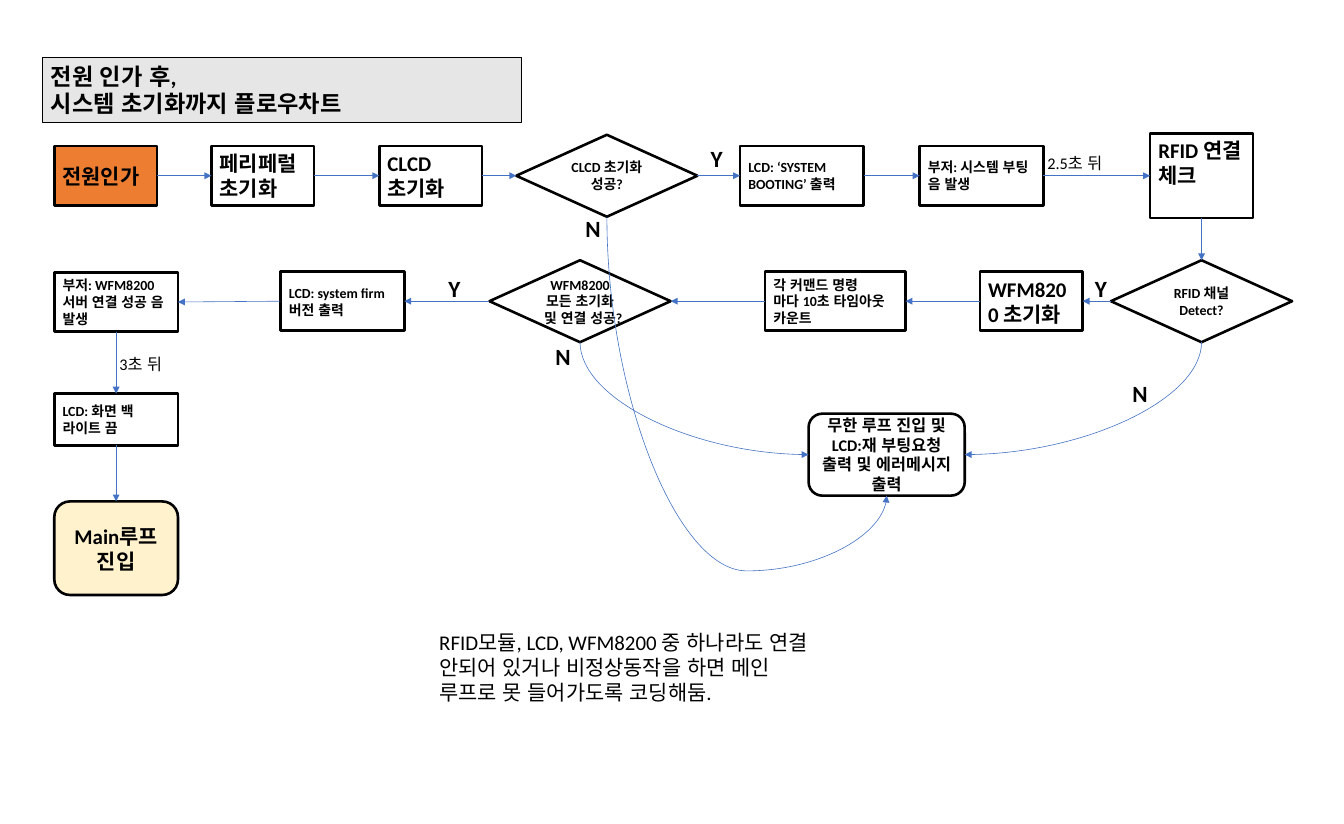
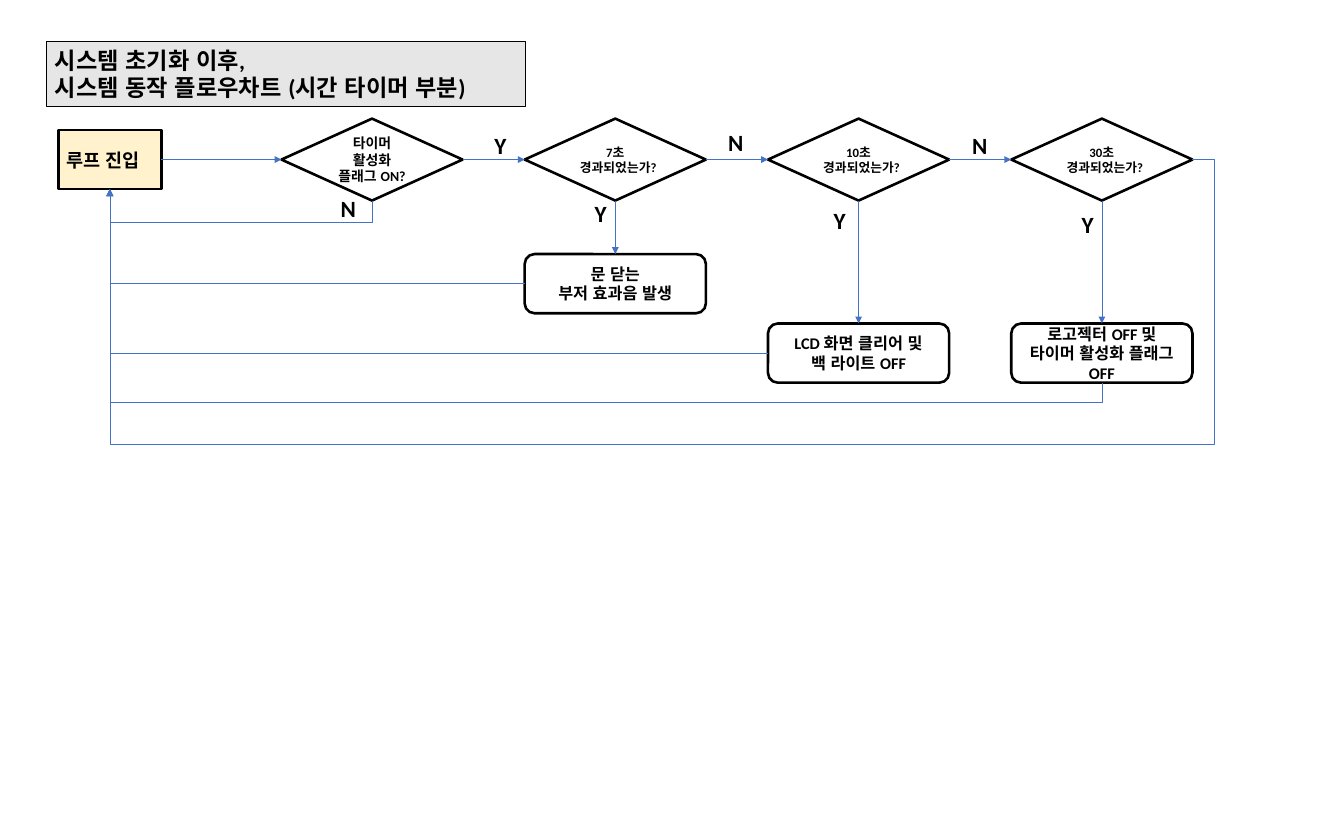
from dataclasses import dataclass
from enum import IntEnum

from lxml.etree import SubElement
from pptx import Presentation
from pptx.dml.color import RGBColor
from pptx.enum.lang import MSO_LANGUAGE_ID as Language
from pptx.enum.shapes import MSO_CONNECTOR as Connector
from pptx.enum.shapes import MSO_SHAPE as Shape
from pptx.enum.text import MSO_ANCHOR as Anchor
from pptx.enum.text import PP_ALIGN as Align
from pptx.oxml.ns import qn
from pptx.util import Pt


class Side(IntEnum):
    TOP = 0
    LEFT = 1
    BOTTOM = 2
    RIGHT = 3


@dataclass(frozen=True)
class Theme:
    font: str = "Calibri"
    ink: str = "000000"
    paper: str = "FFFFFF"
    title_fill: str = "E7E6E6"
    start_fill: str = "ED7D31"
    loop_fill: str = "FFF2CC"
    flow: str = "4472C4"
    tiny: int = 11
    small: int = 12
    body: int = 14
    entry: int = 16
    large: int = 18
    heading: int = 20
    thin: float = 0.5
    frame: float = 0.75
    thick: float = 2.25


class Flowchart:
    def __init__(self, presentation, theme):
        self.presentation = presentation
        self.theme = theme
        self.slide = None

    def new_slide(self):
        blank = self.presentation.slide_layouts[6]
        self.slide = self.presentation.slides.add_slide(blank)

    def add_text(self, shape, text, size, bold, align, anchor):
        frame = shape.text_frame
        frame.word_wrap = True
        frame.vertical_anchor = anchor
        for index, line in enumerate(text.split("\n")):
            paragraph = frame.paragraphs[0] if index == 0 else frame.add_paragraph()
            paragraph.alignment = align
            run = paragraph.add_run()
            run.text = line
            font = run.font
            font.name, font.size, font.bold = self.theme.font, Pt(size), bold
            font.color.rgb = RGBColor.from_string(self.theme.ink)
            font.language_id = Language.KOREAN

    def block(self, kind, left, top, width, height, text, size, fill=None,
              align=Align.LEFT, anchor=Anchor.MIDDLE, weight=None):
        shape = self.slide.shapes.add_shape(kind, Pt(left), Pt(top), Pt(width), Pt(height))
        shape.shadow.inherit = False
        if fill:
            shape.fill.solid()
            shape.fill.fore_color.rgb = RGBColor.from_string(fill)
        else:
            shape.fill.background()
        shape.line.color.rgb = RGBColor.from_string(self.theme.ink)
        shape.line.width = Pt(weight or self.theme.thick)
        self.add_text(shape, text, size, True, align, anchor)
        return shape

    def title(self, left, top, text):
        self.block(Shape.RECTANGLE, left, top, 412.6, 55.7, text, self.theme.heading,
                   self.theme.title_fill, anchor=Anchor.TOP, weight=self.theme.frame)

    def step(self, left, middle, width, text, size, height=51, **style):
        return self.block(Shape.RECTANGLE, left, middle - height / 2, width, height,
                          text, size, **style)

    def decision(self, left, middle, text, size):
        width, height = 156.2, 70.6
        return self.block(Shape.DIAMOND, left, middle - height / 2, width, height,
                          text, size, self.theme.paper, Align.CENTER)

    def action(self, left, middle, width, height, text, size, fill=None):
        return self.block(Shape.ROUNDED_RECTANGLE, left, middle - height / 2, width, height,
                          text, size, fill or self.theme.paper, Align.CENTER)

    def note(self, left, top, text, size, width=28, height=31.7, bold=True):
        box = self.slide.shapes.add_textbox(Pt(left), Pt(top), Pt(width), Pt(height))
        self.add_text(box, text, size, bold, Align.LEFT, Anchor.TOP)

    def answer(self, left, top, text):
        self.note(left, top, text, self.theme.heading)

    def arrow(self, source, source_side, target, target_side, kind=Connector.STRAIGHT):
        connector = self.slide.shapes.add_connector(kind, 0, 0, 0, 0)
        connector.begin_connect(source, source_side)
        connector.end_connect(target, target_side)
        connector.line.color.rgb = RGBColor.from_string(self.theme.flow)
        connector.line.width = Pt(self.theme.thin)
        properties = connector.element.spPr
        SubElement(properties.find(qn("a:ln")), qn("a:tailEnd"), type="triangle")
        SubElement(properties, qn("a:effectLst"))
        return connector

    def route(self, kind, source, source_side, target, target_side, lanes=()):
        """Lanes are the turning lines, first along the axis the route leaves on."""
        connector = self.arrow(source, source_side, target, target_side, kind)
        start = (connector.begin_x, connector.begin_y)
        end = (connector.end_x, connector.end_y)
        right, down = end[0] > start[0], end[1] > start[1]
        width, height = abs(end[0] - start[0]), abs(end[1] - start[1])
        vertical = source_side in (Side.TOP, Side.BOTTOM)
        if vertical:
            width, height = height, width
            turn, flip = (270 if right else 90), right == down
        else:
            turn, flip = (0 if down else 180), right != down

        # A turned connector keeps its centre
        connector.left = (start[0] + end[0] - width) // 2
        connector.top = (start[1] + end[1] - height) // 2
        connector.width, connector.height = width, height
        transform = connector.element.spPr.find(qn("a:xfrm"))
        transform.attrib.pop("flipV", None)
        transform.set("flipH", str(int(flip)))
        transform.set("rot", str(turn * 60000))

        # Each lane is a share of the distance between the ends
        geometry = connector.element.spPr.find(qn("a:prstGeom"))
        stem = "curvedConnector" if kind == Connector.CURVE else "bentConnector"
        geometry.set("prst", f"{stem}{len(lanes) + 2}")
        guides = geometry.find(qn("a:avLst"))
        for index, lane in enumerate(lanes):
            axis = (index + vertical) % 2
            share = (Pt(lane) - start[axis]) / (end[axis] - start[axis])
            SubElement(guides, qn("a:gd"), name=f"adj{index + 1}",
                       fmla=f"val {round(share * 100000)}")


def startup_slide(chart):
    theme = chart.theme
    chart.new_slide()
    chart.title(36.7, 49.7, "전원 인가 후,\n시스템 초기화까지 플로우차트")
    first, second = 151.4, 259.5
    narrow, wide, margin = 88.6, 106.6, 46.8

    # First row: power to RFID check
    power = chart.step(margin, first, narrow, "전원인가", theme.large, fill=theme.start_fill)
    peripheral = chart.step(182.2, first, narrow, "페리페럴 초기화", theme.large)
    display = chart.step(326.9, first, narrow, "CLCD\n초기화", theme.large)
    display_ok = chart.decision(445, first, "CLCD 초기화 성공?", theme.small)
    booting = chart.step(637.9, first, wide, "LCD: ‘SYSTEM BOOTING’ 출력", theme.small)
    buzzer = chart.step(792.7, first, wide, "부저: 시스템 부팅 음 발생", theme.small)
    reader = chart.step(991.4, first, narrow, "RFID 연결 체크", theme.large,
                        height=72.7, anchor=Anchor.TOP)

    # Second row, right to left
    reader_ok = chart.decision(957.6, second, "RFID 채널 Detect?", theme.small)
    wireless = chart.step(844.6, second, narrow, "WFM8200 초기화", theme.large)
    timeout = chart.step(659.5, second, 121, "각 커맨드 명령\n마다 10초 타임아웃 카운트",
                         theme.small)
    wireless_ok = chart.decision(421.9, second, "WFM8200 모든 초기화 및 연결 성공?", theme.small)
    firmware = chart.step(241.9, second, wide, "LCD: system firm버전 출력", theme.small)
    connected = chart.step(margin, second + 0.7, wide, "부저: WFM8200 서버 연결 성공 음 발생",
                           theme.small)

    # Endings
    backlight = chart.step(margin, 361.4, wide, "LCD: 화면 백 라이트 끔", theme.small, height=44.6)
    main_loop = chart.action(margin, 472.3, wide, 80.6, "Main루프 진입", theme.large,
                             theme.loop_fill)
    failure = chart.action(697, 391.7, 134.6, 70.6,
                           "무한 루프 진입 및 LCD:재 부팅요청 출력 및 에러메시지 출력", theme.body)

    # Flow
    top_row = [power, peripheral, display, display_ok, booting, buzzer, reader]
    bottom_row = [reader_ok, wireless, timeout, wireless_ok, firmware, connected]
    ending = [connected, backlight, main_loop]
    for row, leave, enter in ((top_row, Side.RIGHT, Side.LEFT),
                              (bottom_row, Side.LEFT, Side.RIGHT),
                              ([reader, reader_ok], Side.BOTTOM, Side.TOP),
                              (ending, Side.BOTTOM, Side.TOP)):
        for source, target in zip(row, row[1:]):
            chart.arrow(source, leave, target, enter)
    for source, side, lanes in ((reader_ok, Side.RIGHT, ()), (wireless_ok, Side.LEFT, ()),
                                (display_ok, Side.BOTTOM, (491.8,))):
        chart.route(Connector.CURVE, source, Side.BOTTOM, failure, side, lanes)

    # Labels
    for left, top, text in ((605.5, 121, "Y"), (379.4, 232.6, "Y"), (936.7, 232.6, "Y"),
                            (969.1, 323.3, "N"), (471.6, 291.6, "N"), (497.5, 181.4, "N")):
        chart.answer(left, top, text)
    chart.note(95.8, 301.7, "3초 뒤", theme.body, 62.6, 24.5, False)
    chart.note(895.7, 128.2, "2.5초 뒤", theme.body, 72.7, 24.5, False)
    chart.note(371.5, 538.6, "RFID모듈, LCD, WFM8200 중 하나라도 연결 안되어 있거나 "
               "비정상동작을 하면 메인 루프로 못 들어가도록 코딩해둠.", theme.large, 341.3, 72.7, False)


def timer_slide(chart):
    theme = chart.theme
    chart.new_slide()
    chart.title(40.3, 36, "시스템 초기화 이후,\n시스템 동작 플로우차트 (시간 타이머 부분)")
    middle = 137.5
    columns = [242.6 + 209.7 * index for index in range(4)]

    # Decisions
    entry = chart.step(50.4, middle, 88.6, "루프 진입", theme.entry, fill=theme.loop_fill)
    questions = (("타이머 활성화 플래그 ON?", theme.small), ("7초 경과되었는가?", theme.tiny),
                 ("10초 경과되었는가?", theme.tiny), ("30초 경과되었는가?", theme.tiny))
    decisions = [chart.decision(left, middle, text, size)
                 for left, (text, size) in zip(columns, questions)]
    row = [entry, *decisions]
    for source, target in zip(row, row[1:]):
        chart.arrow(source, Side.RIGHT, target, Side.LEFT)

    # Actions, each under its decision
    actions = []
    for left, decision, level, text in zip(
            columns[1:], decisions[1:], (244.4, 304.2, 304.2),
            ("문 닫는\n부저 효과음 발생", "LCD 화면 클리어 및\n백 라이트 OFF",
             "로고젝터 OFF 및\n타이머 활성화 플래그 OFF")):
        action = chart.action(left, level, 156.2, 51, text, theme.body)
        chart.arrow(decision, Side.BOTTOM, action, Side.TOP)
        actions.append(action)

    # Ways back to the loop entry
    for source, side, lanes in ((decisions[0], Side.BOTTOM, (191.4,)),
                                (actions[0], Side.LEFT, ()),
                                (actions[1], Side.LEFT, ()),
                                (actions[2], Side.BOTTOM, (347,)),
                                (decisions[3], Side.RIGHT, (1046.2, 383))):
        chart.route(Connector.ELBOW, source, side, entry, Side.BOTTOM, lanes)

    # Labels
    for left, top, text in ((286.6, 164.2, "N"), (419, 109.4, "Y"), (620.6, 106.6, "N"),
                            (505.4, 167.8, "Y"), (711.4, 174.2, "Y"), (830.9, 109.4, "N"),
                            (925.2, 177.8, "Y")):
        chart.answer(left, top, text)


def main():
    presentation = Presentation()
    presentation.slide_width, presentation.slide_height = Pt(1158.5), Pt(709.9)
    chart = Flowchart(presentation, Theme())
    startup_slide(chart)
    timer_slide(chart)
    presentation.save("out.pptx")


if __name__ == "__main__":
    main()
